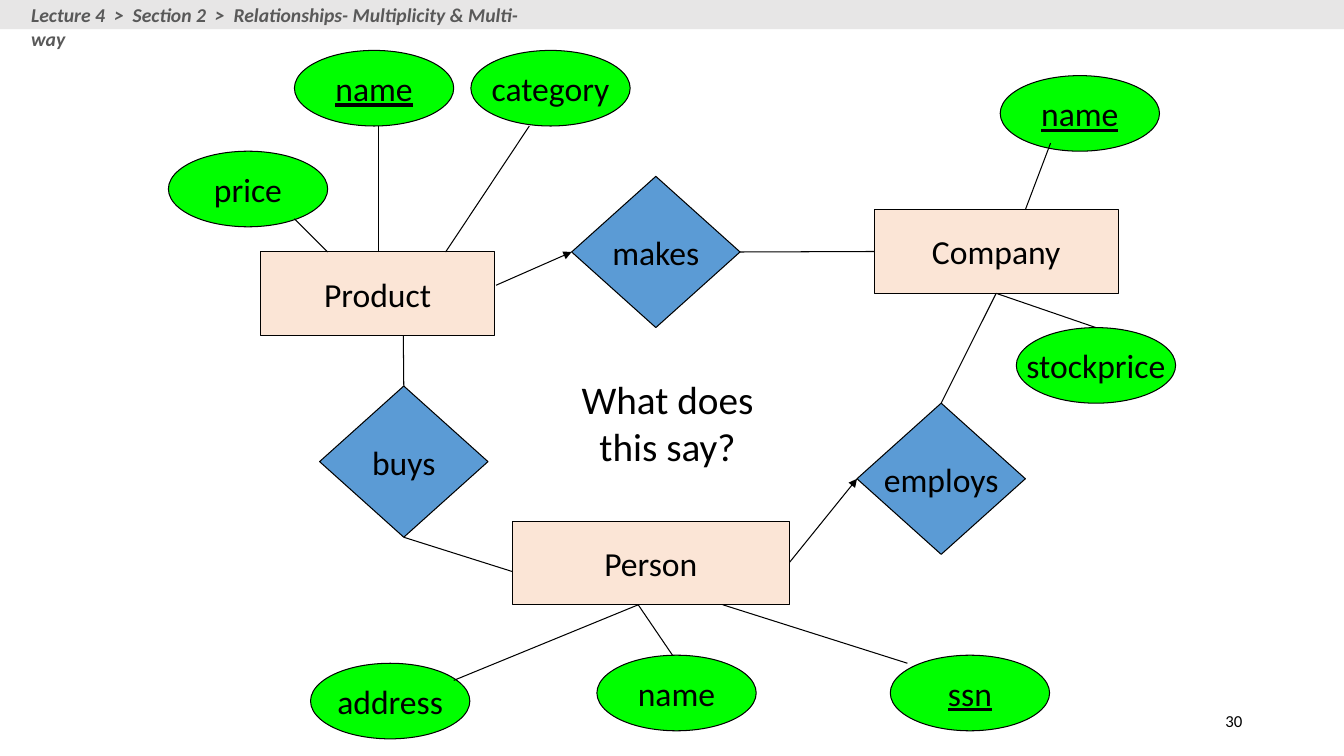
from lxml.etree import SubElement
from pptx import Presentation
from pptx.dml.color import RGBColor
from pptx.enum.shapes import MSO_CONNECTOR, MSO_SHAPE as SHAPE
from pptx.enum.text import MSO_ANCHOR as ANCHOR, PP_ALIGN as ALIGN
from pptx.oxml.ns import qn
from pptx.util import Inches, Pt

TOP, LEFT, BOTTOM, RIGHT = range(4)


def rgb(value):
    return RGBColor.from_string(value)


class ErDiagram:
    font = "Calibri"
    ink = "000000"
    line_width = Pt(0.75)

    def __init__(self, slide):
        self.shapes = slide.shapes

    def set_text(self, sp, text, size, align, anchor, color=ink, wrap=True,
                 underline=None, bold=None, italic=None):
        tf = sp.text_frame
        tf.word_wrap = wrap
        tf.vertical_anchor = anchor
        p = tf.paragraphs[0]
        p.alignment = align
        r = p.add_run()
        r.text = text
        font = r.font
        font.name, font.size = self.font, Pt(size)
        font.color.rgb = rgb(color)
        font.underline, font.bold, font.italic = underline, bold, italic

    def text(self, x, y, w, h, text, size, align=ALIGN.LEFT, anchor=ANCHOR.TOP, **style):
        sp = self.shapes.add_textbox(Inches(x), Inches(y), Inches(w), Inches(h))
        self.set_text(sp, text, size, align, anchor, **style)

    def block(self, kind, x, y, w, h, fill):
        sp = self.shapes.add_shape(kind, Inches(x), Inches(y), Inches(w), Inches(h))
        sp.shadow.inherit = False
        sp.fill.solid()
        sp.fill.fore_color.rgb = rgb(fill)
        sp.line.fill.background()
        return sp

    def node(self, kind, x, y, w, h, fill, label, key=None):
        sp = self.block(kind, x, y, w, h, fill)
        sp.line.color.rgb = rgb(self.ink)
        sp.line.width = self.line_width
        self.set_text(sp, label, 24, ALIGN.CENTER, ANCHOR.MIDDLE, wrap=False, underline=key)
        return sp

    def entity(self, x, y, w, label):
        return self.node(SHAPE.RECTANGLE, x, y, w, 0.83, "FBE5D6", label)

    def relationship(self, x, y, label):
        return self.node(SHAPE.DIAMOND, x, y, 1.67, 1.5, "5B9BD5", label)

    def attribute(self, x, y, label, key=None):
        return self.node(SHAPE.OVAL, x, y, 1.58, 0.75, "00FF00", label, key)

    def link(self, start, end, arrow=False):
        """Join two ends, each an (x, y) point or a (shape, site) pair; the arrow is at start."""
        joined = [not isinstance(e[0], (int, float)) for e in (start, end)]
        (x1, y1), (x2, y2) = [(0, 0) if j else e for j, e in zip(joined, (start, end))]
        line = self.shapes.add_connector(
            MSO_CONNECTOR.STRAIGHT, Inches(x1), Inches(y1), Inches(x2), Inches(y2))
        if joined[0]:
            line.begin_connect(*start)
        if joined[1]:
            line.end_connect(*end)
        line.line.color.rgb = rgb(self.ink)
        line.line.width = self.line_width
        props = line._element.spPr
        if arrow:
            SubElement(props.find(qn("a:ln")), qn("a:headEnd"), type="triangle")
        SubElement(props, qn("a:effectLst"))


def main():
    prs = Presentation()
    prs.slide_width, prs.slide_height = Inches(13.33), Inches(7.5)
    er = ErDiagram(prs.slides.add_slide(prs.slide_layouts[6]))

    er.text(9.42, 6.95, 3, 0.4, "30", 12, ALIGN.RIGHT, ANCHOR.MIDDLE)

    er.attribute(3.08, 6.58, "address")
    er.attribute(5.92, 6.5, "name")
    er.attribute(8.83, 6.5, "ssn", key=True)
    er.entity(5.08, 5.17, 2.75, "Person")
    buys = er.relationship(3.17, 3.83, "buys")
    makes = er.relationship(5.67, 1.75, "makes")
    employs = er.relationship(8.5, 4, "employs")
    company = er.entity(8.67, 2.08, 2.42, "Company")
    er.entity(2.58, 2.5, 2.33, "Product")
    er.attribute(2.92, 0.5, "name", key=True)
    er.attribute(4.67, 0.5, "category")
    stockprice = er.attribute(10.08, 3.25, "stockprice")
    er.attribute(9.92, 0.75, "name", key=True)
    er.attribute(1.67, 1.5, "price")

    # Product and its attributes
    for start, end in [((3.25, 2.5), (2.92, 2.17)),
                       ((3.75, 2.5), (3.75, 1.25)),
                       ((4.42, 2.5), (5.25, 1.25))]:
        er.link(start, end)
    # Company and its attributes
    er.link((10.17, 2.08), (10.42, 1.42))
    er.link((company, BOTTOM), (stockprice, TOP))
    # Person and its attributes
    for start, end in [((6.33, 6), (4.5, 6.75)),
                       ((6.33, 6), (6.67, 6.5)),
                       ((7.17, 6), (9, 6.58))]:
        er.link(start, end)
    # Relationships
    er.link((makes, RIGHT), (company, LEFT))
    er.link((makes, LEFT), (4.92, 2.83), arrow=True)
    er.link((buys, TOP), (4, 3.33))
    er.link((buys, BOTTOM), (5.08, 5.67))
    er.link((employs, LEFT), (7.83, 5.58), arrow=True)
    er.link((employs, TOP), (company, BOTTOM))

    er.text(5.58, 3.67, 2.08, 1.04, "What does this say?", 28, ALIGN.CENTER)

    er.block(SHAPE.RECTANGLE, 0, 0, 13.33, 0.29, "E7E6E6")
    er.text(0.21, -0.02, 5.21, 0.34,
            "Lecture 4  >  Section 2  >  Relationships- Multiplicity & Multi-way",
            14, color="595959", bold=True, italic=True)

    prs.save("out.pptx")


if __name__ == "__main__":
    main()
